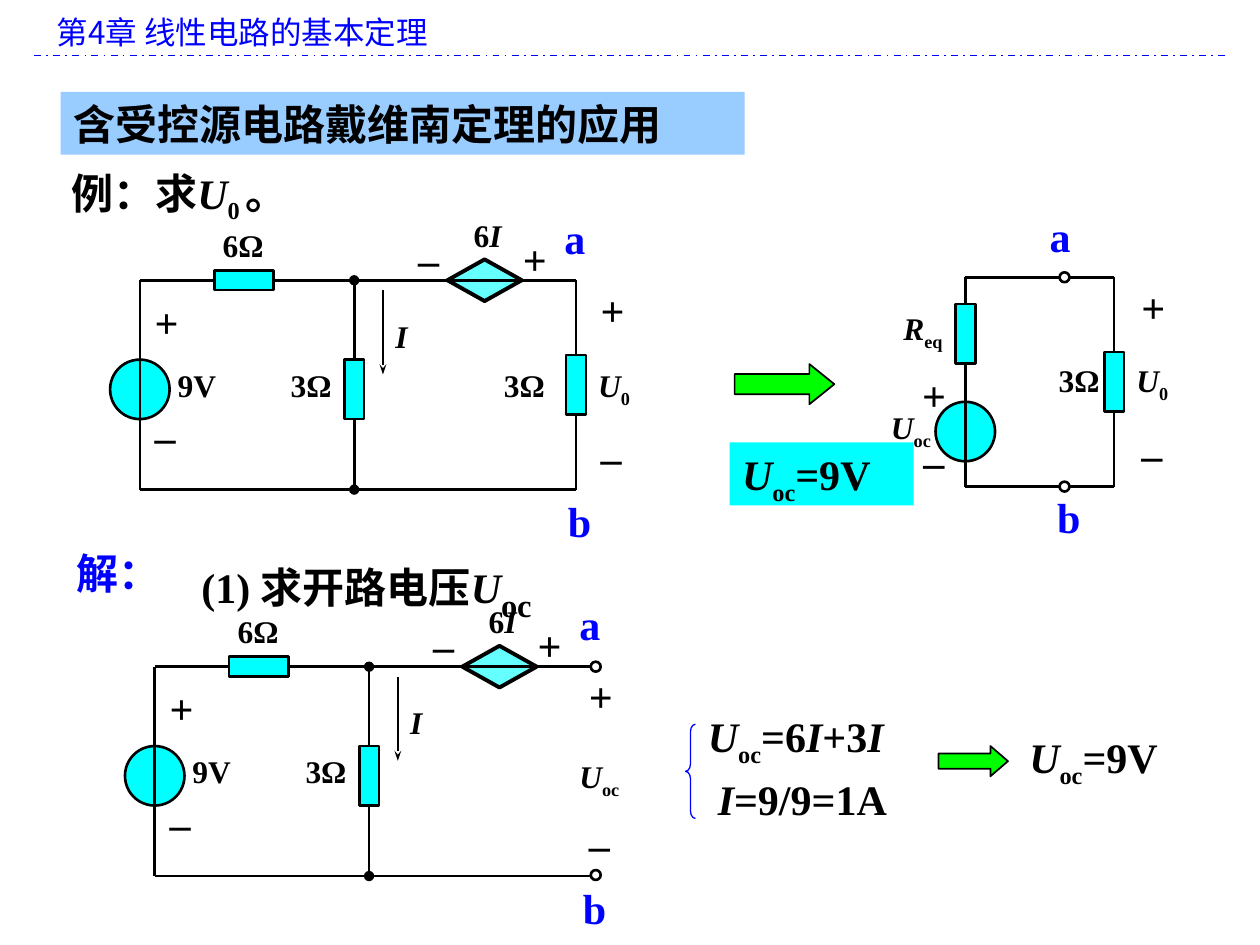
from dataclasses import dataclass

import pptx
import pptx.dml.color
import pptx.enum.dml
import pptx.enum.shapes
import pptx.enum.text
import pptx.oxml.ns
import pptx.util
from lxml import etree
from pptx.util import Cm

COLOURS = {"ink": "000000", "blue": "0000FF", "cyan": "00FFFF", "aqua": "66FFFF",
           "band": "99CCFF", "green": "00FF00"}
SERIF, SANS = "Times New Roman", "Noto Sans CJK SC"
SHAPE = pptx.enum.shapes.MSO_SHAPE
ANCHOR = pptx.enum.text.MSO_ANCHOR
ALIGN = pptx.enum.text.PP_ALIGN
LINE_HEIGHT = {18: 1.02, 24: 1.27}
SIGN_WIDTH = {"+": 0.84, "–": 1.07}

U_OC = [("U", "italic"), ("oc", "sub")]
U_0 = [("U", "italic"), ("0", "sub")]
R_EQ = [("R", "italic"), ("eq", "sub")]
CURRENT = [("I", "italic")]
SIX_I = [("6", ""), ("I", "italic")]
RESULT = U_OC + [("=9V", "")]


@dataclass
class Canvas:
    """A shape collection with the point, in cm, that positions start from."""
    shapes: object
    left: float = 0
    top: float = 0

    def at(self, x, y):
        return Cm(self.left + x), Cm(self.top + y)


def rgb(name):
    return pptx.dml.color.RGBColor.from_string(COLOURS[name])


def write(box, content, size=24, colour="ink", font=SERIF, bold=True):
    """Fill a box with a string or with (text, style) spans."""
    frame = box.text_frame
    frame.word_wrap = True
    frame.vertical_anchor = ANCHOR.TOP
    para = frame.paragraphs[0]
    para.alignment = ALIGN.LEFT
    para.space_before = 0
    for text, style in [(content, "")] if isinstance(content, str) else content:
        span = para.add_run()
        span.text = text
        if style == "italic":
            span.font.italic = True
        elif style == "sub":
            span.font._element.set("baseline", "-25000")
    para.font.name = font
    para.font.size = pptx.util.Pt(size)
    para.font.bold = bold
    para.font.color.rgb = rgb(colour)
    east_asian = etree.SubElement(para.font._element, pptx.oxml.ns.qn("a:ea"))
    east_asian.set("typeface", SANS)
    return box


def label(canvas, content, x, y, width=1.7, size=18, **style):
    box = canvas.shapes.add_textbox(*canvas.at(x, y), Cm(width), Cm(LINE_HEIGHT[size]))
    return write(box, content, size, **style)


def sign(canvas, text, x, y):
    label(canvas, text, x, y, SIGN_WIDTH[text], 24)


def node_name(canvas, text, x, y, width):
    label(canvas, text, x, y, width, 24, colour="blue")


def shape(canvas, kind, x, y, width, height, fill=None, line="ink", weight=1.5):
    item = canvas.shapes.add_shape(kind, *canvas.at(x, y), Cm(width), Cm(height))
    item.shadow.inherit = False
    if fill:
        item.fill.solid()
        item.fill.fore_color.rgb = rgb(fill)
    else:
        item.fill.background()
    if line:
        item.line.color.rgb = rgb(line)
        item.line.width = pptx.util.Pt(weight)
    else:
        item.line.fill.background()
    return item


def wire(canvas, x1, y1, x2, y2, weight=1.5, colour="ink", **ends):
    """Draw a line; ends maps headEnd or tailEnd to the attributes of that end."""
    item = canvas.shapes.add_connector(pptx.enum.shapes.MSO_CONNECTOR.STRAIGHT,
                                       *canvas.at(x1, y1), *canvas.at(x2, y2))
    item.line.color.rgb = rgb(colour)
    item.line.width = pptx.util.Pt(weight)
    for end, attributes in ends.items():
        etree.SubElement(item.line._get_or_add_ln(), pptx.oxml.ns.qn("a:" + end), attributes)
    etree.SubElement(item._element.spPr, pptx.oxml.ns.qn("a:effectLst"))
    return item


def resistor(canvas, x, y, upright=True):
    """Draw a resistor centred on a point."""
    item = shape(canvas, SHAPE.RECTANGLE, x - 0.6, y - 0.2, 1.2, 0.4, "cyan")
    item.rotation = 90 if upright else 0


def source(canvas, x, y):
    shape(canvas, SHAPE.OVAL, x - 0.6, y - 0.6, 1.2, 1.2, "cyan")


def terminal(canvas, x, y):
    shape(canvas, SHAPE.OVAL, x - 0.1, y - 0.1, 0.2, 0.2)


def two_loop_circuit(page, left, top, loaded):
    """Draw the 9V circuit, with the 3Ω load or with open terminals."""
    circuit = Canvas(page.shapes.add_group_shape().shapes, left, top)
    right, bottom, middle = 8.79, 4.22, 4.32
    source(circuit, 0, 2.2)
    oval = {"type": "oval"}
    wire(circuit, middle, 0, middle, bottom, headEnd=oval, tailEnd=oval)
    wire(circuit, 4.9, 0.2, 4.9, 1.9, tailEnd={"type": "stealth", "w": "sm"})
    wire(circuit, 6.2, 0, 7.7, 0, 0.75)
    shape(circuit, SHAPE.DIAMOND, 6.2, -0.42, 1.5, 0.84, "aqua", weight=2.25)
    wire(circuit, 0, 0, right, 0)
    wire(circuit, 0, bottom, right, bottom)
    wire(circuit, 0, bottom, 0, 0)
    resistor(circuit, 2.1, 0, upright=False)
    resistor(circuit, middle, 2.2)
    for content, x, y, width in [("3Ω", 2.79, 1.6, 1.9), ("6Ω", 1.42, -1.22, 1.7),
                                 (CURRENT, 4.9, 0.61, 1.27), ("9V", 0.51, 1.6, 1.7),
                                 (SIX_I, 6.48, -1.42, 1.9)]:
        label(circuit, content, x, y, width)
    for text, x, y in [("+", 0.05, 0.2), ("–", 0.05, 2.51),
                       ("+", 7.47, -1.07), ("–", 5.36, -1.07)]:
        sign(circuit, text, x, y)
    node_name(circuit, "a", 8.31, -1.5, 1.27)
    node_name(circuit, "b", 8.38, bottom, 0.84)
    if loaded:
        wire(circuit, right, bottom, right, 0)
        resistor(circuit, right, 2.11)
        label(circuit, "3Ω", 7.09, 1.6)
        label(circuit, U_0, 8.99, 1.6)
    else:
        terminal(circuit, right + 0.1, 0)
        terminal(circuit, right + 0.1, bottom - 0.02)
        label(circuit, U_OC, 8.31, 1.7)
    sign_left = 9.04 if loaded else 8.5
    sign(circuit, "+", sign_left, -0.04)
    sign(circuit, "–", sign_left, 2.93)


def equivalent_circuit(page, left, top):
    circuit = Canvas(page.shapes.add_group_shape().shapes, left, top)
    right, bottom, middle = 3, 4.22, 2
    source(circuit, 0, 3.11)
    for y in (0, bottom):
        wire(circuit, 0, y, middle - 0.1, y)
        wire(circuit, middle + 0.1, y, right, y)
        terminal(circuit, middle, y)
    for x, resistor_y in ((0, 1.14), (right, 2.11)):
        wire(circuit, x, bottom, x, 0)
        resistor(circuit, x, resistor_y)
    for text, y in (("+", 1.73), ("_", 2.79)):
        box = label(circuit, text, -1.12, y, 0.97, 24)
        box.text_frame.vertical_anchor = ANCHOR.MIDDLE
        box.text_frame.paragraphs[0].alignment = ALIGN.CENTER
    for content, x, y in [(R_EQ, -1.5, 0.51), (U_OC, -1.75, 2.51),
                          ("3Ω", 1.63, 1.57), (U_0, 3.2, 1.57)]:
        label(circuit, content, x, y)
    sign(circuit, "+", 3.3, -0.03)
    sign(circuit, "–", 3.3, 2.92)
    node_name(circuit, "a", 1.45, -1.47, 1.27)
    node_name(circuit, "b", 1.6, 4.19, 0.84)


def heading(page, canvas):
    label(canvas, "第4章 线性电路的基本定理", 0.89, 0.13, 23.8, 18,
          colour="blue", font=SANS, bold=False)
    rule = wire(canvas, 0.69, 1.12, 24.69, 1.12, 1, "blue")
    rule.line.dash_style = pptx.enum.dml.MSO_LINE.DASH_DOT
    title = page.shapes.title
    title.left, title.top, title.width, title.height = Cm(1.22), Cm(1.85), Cm(13.79), Cm(1.27)
    title.fill.solid()
    title.fill.fore_color.rgb = rgb("band")
    write(title, "含受控源电路戴维南定理的应用")


def main():
    deck = pptx.Presentation()
    deck.slide_width, deck.slide_height = Cm(25.4), Cm(19.05)
    page = deck.slides.add_slide(deck.slide_layouts[5])
    canvas = Canvas(page.shapes)
    heading(page, canvas)
    write(shape(canvas, SHAPE.RECTANGLE, 14.71, 8.92, 3.71, 1.27, "cyan", None), RESULT)
    for content, x, y, width in [
            ([("例：求", ""), ("U", "italic"), ("0 ", "sub"), ("。", "")], 1.19, 3.25, 9.6),
            (U_OC + [("=6", "")] + CURRENT + [("+3", "")] + CURRENT, 14.02, 14.2, 4.65),
            (CURRENT + [("=9/9=1A", "")], 14.22, 15.47, 4.45),
            (RESULT, 20.5, 14.63, 3.71)]:
        label(canvas, content, x, y, width, 24)
    label(canvas, "解：", 1.3, 10.92, 2.97, 24, colour="blue")
    task = label(canvas, [("(1) 求开路电压", "")] + U_OC, 3.81, 10.92, 7.82, 24)
    task.text_frame.paragraphs[0].runs[-1].font.size = pptx.util.Pt(32)
    brace = shape(canvas, SHAPE.LEFT_BRACE, 13.82, 14.6, 0.2, 1.9, line="blue", weight=0.75)
    brace.adjustments[0] = 0.75
    equivalent_circuit(page, 19.46, 5.59)
    two_loop_circuit(page, 3.12, 13.44, loaded=False)
    two_loop_circuit(page, 2.82, 5.65, loaded=True)
    for x, y, width, height, tip in [(14.81, 7.34, 2.01, 0.81, 0.62),
                                     (18.92, 15.04, 1.4, 0.61, 0.58)]:
        arrow = shape(canvas, SHAPE.RIGHT_ARROW, x, y, width, height, "green", weight=1)
        arrow.adjustments[1] = tip
    deck.save("out.pptx")


if __name__ == "__main__":
    main()
